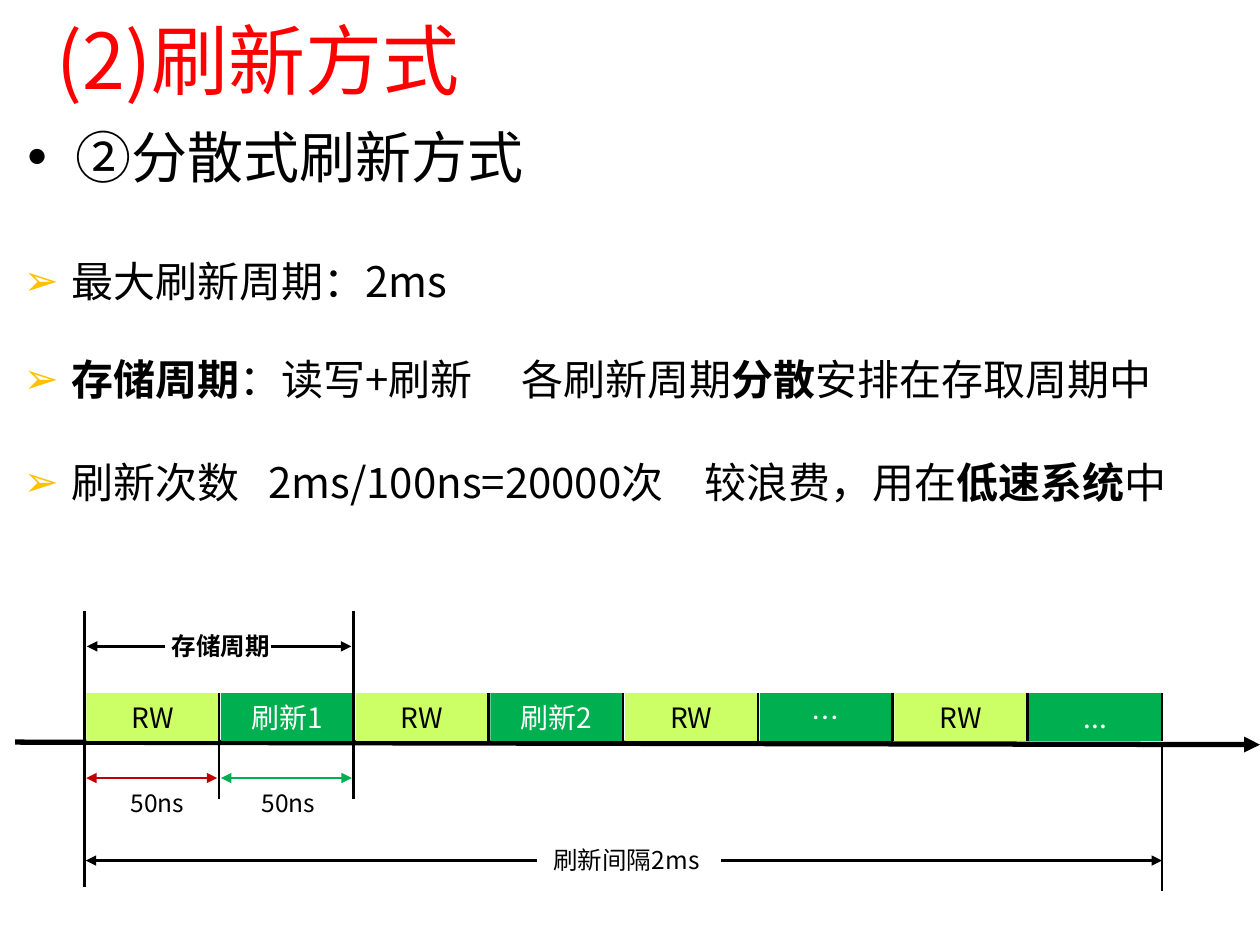
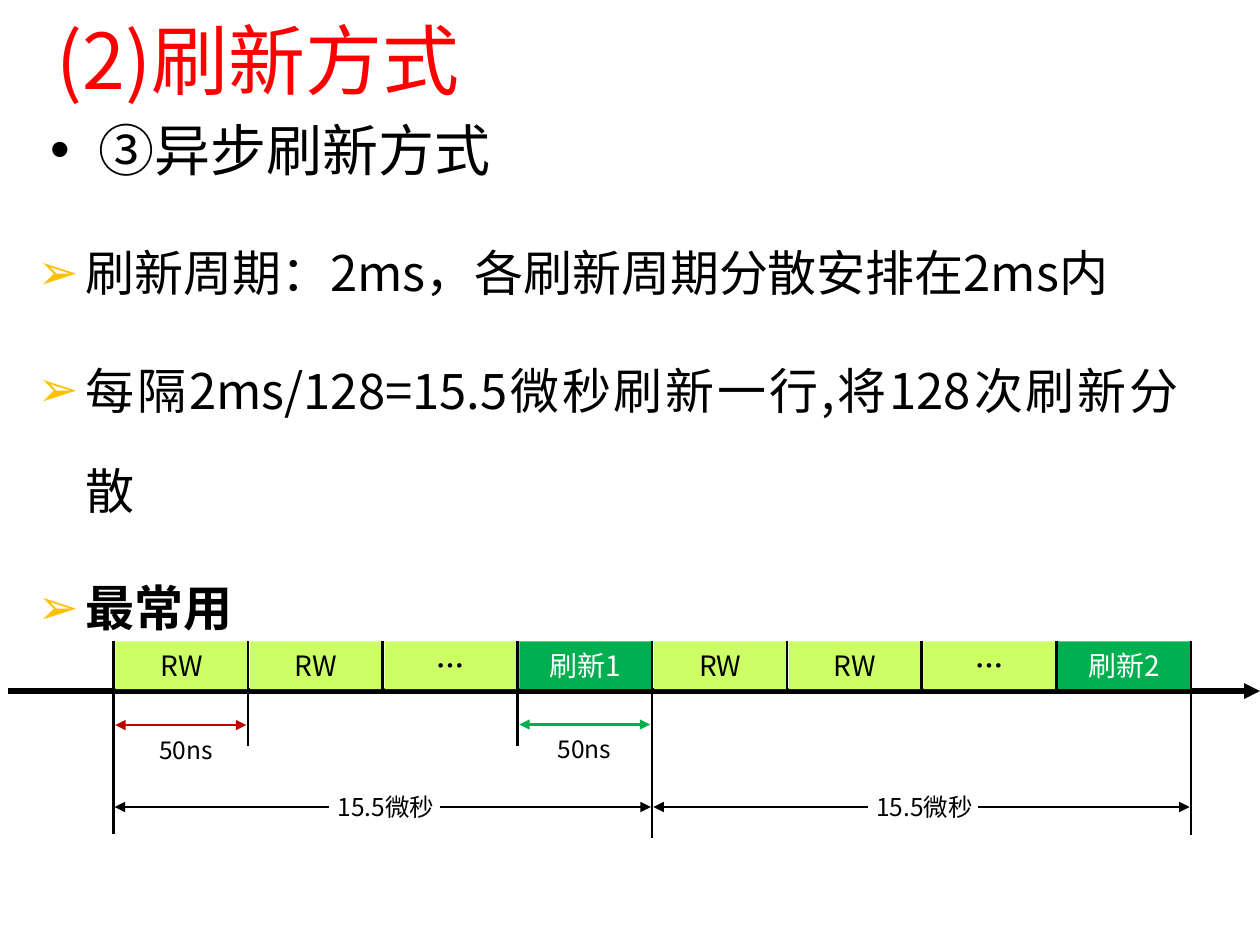
from lxml import etree
from pptx import Presentation
from pptx.dml.color import RGBColor
from pptx.enum import shapes, text
from pptx.oxml.ns import qn
from pptx.util import Inches, Pt

COLORS = {
    "title": "FF0000", "ink": "000000", "paper": "FFFFFF", "marker": "FFC000",
    "access": "CCFF66", "refresh": "00B050", "access_span": "C00000",
}
FONT = "Noto Sans CJK SC"
COLUMNS, ROWS = 100, 75
PITCH = 10.69      # columns from one cycle to the next
CELL = (10.5, 3.8)  # columns and rows of a cycle


class Deck:
    """Holds the style, the grid and the current slide."""

    def __init__(self):
        self.prs = Presentation()
        self.prs.slide_width, self.prs.slide_height = Inches(10), Inches(7.5)
        self.slide = None

    def x(self, columns):
        return round(self.prs.slide_width * columns / COLUMNS)

    def y(self, rows):
        return round(self.prs.slide_height * rows / ROWS)

    def area(self, left, top, width, height):
        return self.x(left), self.y(top), self.x(width), self.y(height)

    def new_slide(self, heading, heading_at):
        self.slide = self.prs.slides.add_slide(self.prs.slide_layouts[6])
        title = self.frame(3.5, 0, 90, 9.3)
        title.vertical_anchor = text.MSO_ANCHOR.MIDDLE
        self.run(title.paragraphs[0], "(2)刷新方式", 44, "title")
        paragraph = self.frame(*heading_at, 90, 6.5).paragraphs[0]
        paragraph.space_before = Pt(6.4)
        self.bullet(paragraph, "•")
        self.run(paragraph, heading, 32, font="Arial")

    def frame(self, left, top, width, height):
        frame = self.slide.shapes.add_textbox(*self.area(left, top, width, height)).text_frame
        frame.word_wrap = True
        return frame

    def run(self, paragraph, words, size, color="ink", bold=False, font=FONT):
        run = paragraph.add_run()
        run.text = words
        run.font.size, run.font.bold, run.font.name = Pt(size), bold, font
        run.font.color.rgb = RGBColor.from_string(COLORS[color])
        etree.SubElement(run.font._element, qn("a:ea"), typeface=FONT)

    def bullet(self, paragraph, mark, color="ink", tabs=()):
        props = paragraph._p.get_or_add_pPr()
        props.set("marL", str(Inches(0.38)))
        props.set("indent", str(-Inches(0.38)))
        tint = etree.SubElement(props, qn("a:buClr"))
        etree.SubElement(tint, qn("a:srgbClr"), val=COLORS[color])
        etree.SubElement(props, qn("a:buFont"), typeface="Arial")
        etree.SubElement(props, qn("a:buChar"), char=mark)
        if tabs:
            stops = etree.SubElement(props, qn("a:tabLst"))
            for stop in tabs:
                etree.SubElement(stops, qn("a:tab"), pos=str(self.x(stop)), algn="l")

    def points(self, at, size, items):
        """Each item is (line spacing, tab columns, runs); every second run is bold."""
        frame = self.frame(*at)
        for i, (spacing, tabs, runs) in enumerate(items):
            paragraph = frame.add_paragraph() if i else frame.paragraphs[0]
            paragraph.alignment = text.PP_ALIGN.JUSTIFY
            paragraph.line_spacing, paragraph.space_before = spacing, Pt(10)
            self.bullet(paragraph, "➢", "marker", tabs)
            for j, words in enumerate(runs):
                if words:
                    self.run(paragraph, words, size, bold=j % 2 == 1)

    def line(self, x1, y1, x2, y2, color="ink", width=1.5, ends=()):
        line = self.slide.shapes.add_connector(
            shapes.MSO_CONNECTOR.STRAIGHT, self.x(x1), self.y(y1), self.x(x2), self.y(y2))
        line.line.width = Pt(width)
        line.line.color.rgb = RGBColor.from_string(COLORS[color])
        props = line._element.spPr
        for end in ends:
            etree.SubElement(props.find(qn("a:ln")), qn(f"a:{end}End"), type="triangle")
        etree.SubElement(props, qn("a:effectLst"))

    def tick(self, column, top, bottom):
        self.line(column, top, column, bottom)

    def label(self, words, left, top, width, bold=False):
        paragraph = self.frame(left, top, width, 3.3).paragraphs[0]
        paragraph.alignment = text.PP_ALIGN.RIGHT
        self.run(paragraph, words, 14, bold=bold)

    def cell(self, words, left, top, kind, bold=False):
        cell = self.slide.shapes.add_shape(
            shapes.MSO_SHAPE.RECTANGLE, *self.area(left, top, *CELL))
        cell.shadow.inherit = False
        cell.fill.solid()
        cell.fill.fore_color.rgb = RGBColor.from_string(COLORS[kind])
        cell.line.fill.background()
        cell.text_frame.vertical_anchor = text.MSO_ANCHOR.MIDDLE
        paragraph = cell.text_frame.paragraphs[0]
        paragraph.alignment = text.PP_ALIGN.CENTER
        self.run(paragraph, words, 16, "paper" if kind == "refresh" else "ink", bold)

    def cycles(self, left, top, cells):
        for i, (words, kind, bold) in enumerate(cells):
            self.tick(left + i * PITCH, top, top + CELL[1])
            self.cell(words, left + i * PITCH + 0.15, top, kind, bold)
        self.tick(left + len(cells) * PITCH, top, top + CELL[1])

    def cycle_span(self, start, row, color, label_left):
        """Double arrow under one cycle, with its duration."""
        self.line(start + 0.15, row, start + PITCH - 0.15, row, color, ends=("head", "tail"))
        self.label("50ns", label_left, row + 0.3, 6.7)

    def split_span(self, start, gap_start, gap_end, end, row, words, left, width, bold=False):
        """Two arrows that point outwards from a label."""
        self.line(gap_end, row, end, row, ends=("tail",))
        self.line(gap_start, row, start, row, ends=("tail",))
        self.label(words, left, row - 1.7, width, bold)


def distributed_refresh(deck):
    deck.new_slide("②分散式刷新方式", (1.2, 9.2))
    deck.points((0.9, 17.4, 98, 25), 24, [
        (1.6, (), ["最大刷新周期：2ms"]),
        (1.6, (39.5,), ["", "存储周期", "：读写+刷新\t各刷新周期", "分散", "安排在存取周期中"]),
        (1.7, (19.4, 54), ["刷新次数\t2ms/100ns=20000次\t较浪费，用在", "低速系统", "中"]),
    ])

    # Time axis and cycles
    start, top = 6.7, 55
    second, third, end = (start + i * PITCH for i in (1, 2, 8))
    deck.line(1.2, 58.9, 100, 59.1, width=3, ends=("tail",))
    refreshes = ["刷新1", "刷新2", "…", "..."]
    deck.cycles(start, top, [cell for refresh in refreshes for cell in
                             (("RW", "access", False), (refresh, "refresh", False))])

    # Storage cycle above, single cycles and refresh interval below
    for column in (start, third):
        deck.tick(column, 48.5, top)
    deck.split_span(start + 0.2, 13.1, 21.5, third - 0.2, 51.3, "存储周期", 12, 10.4, True)
    for column, bottom in ((start, 70.4), (second, 63.4), (third, 63.4), (end, 70.7)):
        deck.tick(column, 59, bottom)
    deck.cycle_span(start, 61.75, "access_span", 8.9)
    deck.cycle_span(second, 61.75, "refresh", 19.3)
    deck.split_span(start + 0.1, 42.6, 57.2, end, 68.3, "刷新间隔2ms", 42.7, 13.8)


def asynchronous_refresh(deck):
    deck.new_slide("③异步刷新方式", (3, 8.7))
    deck.points((2, 15.5, 92.5, 24.9), 28, [
        (1.7, (), ["刷新周期：2ms，各刷新周期分散安排在2ms内"]),
        (1.7, (), ["每隔2ms/128=15.5微秒刷新一行,将128次刷新分散"]),
        (1.7, (), ["", "最常用"]),
    ])

    # Time axis and cycles
    start, top, axis = 9, 50.9, 54.85
    second, fourth, middle, end = (start + i * PITCH for i in (1, 3, 4, 8))
    deck.line(0.6, axis, 100, axis, width=3, ends=("tail",))
    deck.cycles(start, top, [cell for refresh in ("刷新1", "刷新2") for cell in
                             (("RW", "access", False), ("RW", "access", False),
                              ("…", "access", True), (refresh, "refresh", False))])

    # Single cycles and refresh intervals
    for column, bottom in ((start, 66.2), (second, 59.2), (fourth, 59.2),
                           (middle, 66.5), (end, 66.3)):
        deck.tick(column, axis, bottom)
    deck.cycle_span(start, 57.55, "access_span", 11.2)
    deck.cycle_span(fourth, 57.5, "refresh", 42.8)
    for left, right in ((start, middle), (middle, end)):
        deck.split_span(left + 0.1, left + 17.1, left + 25.9, right - 0.1, 64.05,
                        "15.5微秒", left + 14.95, 11.5)


def main():
    deck = Deck()
    distributed_refresh(deck)
    asynchronous_refresh(deck)
    deck.prs.save("out.pptx")


if __name__ == "__main__":
    main()
